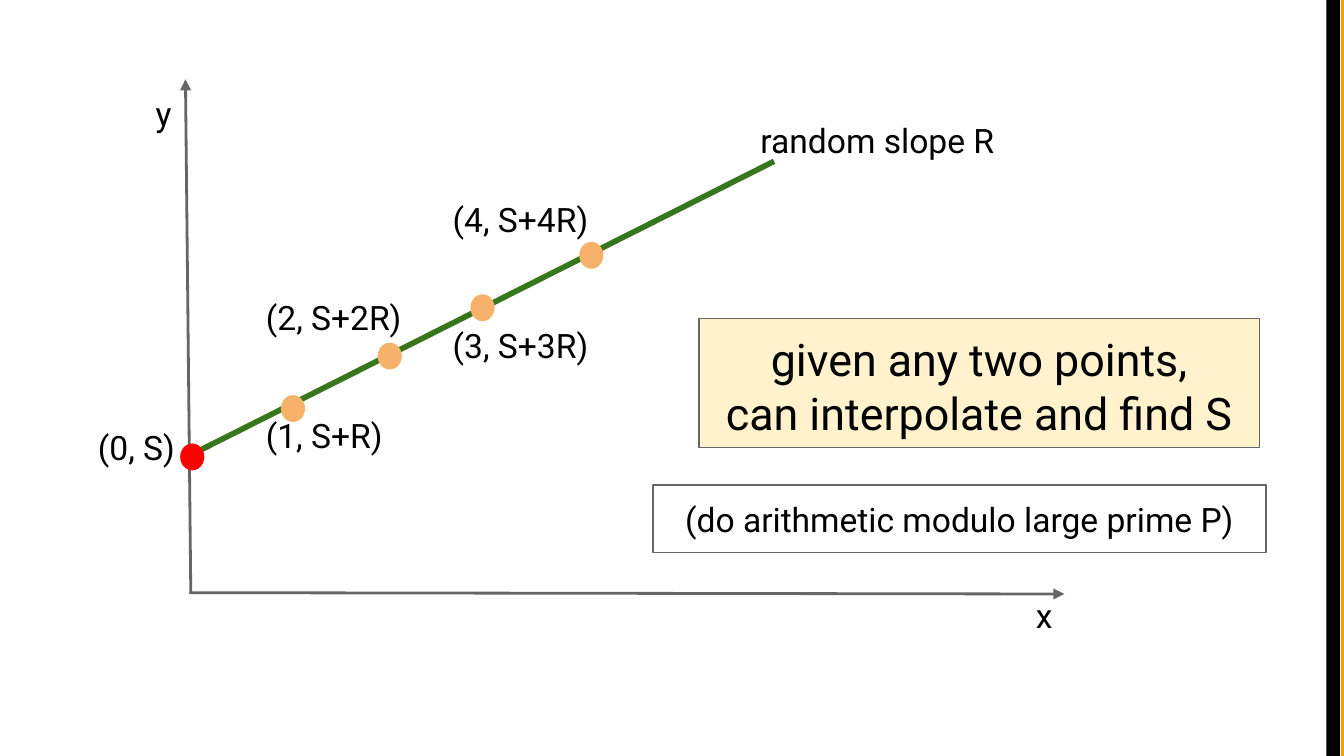
from dataclasses import dataclass

from lxml import etree
from pptx import Presentation
from pptx.dml.color import RGBColor
from pptx.enum.shapes import MSO_CONNECTOR, MSO_SHAPE
from pptx.enum.text import MSO_ANCHOR, PP_ALIGN
from pptx.oxml.ns import qn
from pptx.util import Inches, Pt

RECTANGLE, OVAL = MSO_SHAPE.RECTANGLE, MSO_SHAPE.OVAL
STRAIGHT = MSO_CONNECTOR.STRAIGHT
LEFT, CENTER = PP_ALIGN.LEFT, PP_ALIGN.CENTER
TOP = MSO_ANCHOR.TOP


@dataclass(frozen=True)
class Theme:
    font: str = "Roboto"
    label_size: float = 18
    callout_size: float = 24
    text: str = "000000"
    axis: str = "666666"
    slope: str = "38761D"
    secret: str = "FF0000"
    share: str = "F6B26B"
    callout: str = "FFF2CC"
    edge_dark: str = "000000"
    edge_bright: str = "FF9900"


THEME = Theme()

# The slide is a 16:9 grid of 100 columns by 56.25 rows of square cells
CELL = 0.1
COLUMNS, ROWS = 100, 56.25
LABEL_ROWS = 5
DOT_SIZE = (1.8, 2)


def cells(*counts):
    return [Inches(count * CELL) for count in counts]


def color(value):
    return RGBColor.from_string(value)


def write(shape, text, *, size=THEME.label_size, align=LEFT):
    """Fill a shape with text, one paragraph a line."""
    frame = shape.text_frame
    frame.word_wrap = True
    frame.vertical_anchor = TOP
    frame.margin_left = frame.margin_right = Inches(0.1)
    frame.margin_top = frame.margin_bottom = Inches(0.1)
    frame.text = text
    for para in frame.paragraphs:
        para.alignment = align
        for span in para.runs:
            span.font.name = THEME.font
            span.font.size = Pt(size)
            span.font.color.rgb = color(THEME.text)


def add_figure(page, kind, place, *, fill=None, line=None):
    figure = page.shapes.add_shape(kind, *cells(*place))
    figure.shadow.inherit = False
    if fill:
        figure.fill.solid()
        figure.fill.fore_color.rgb = color(fill)
    else:
        figure.fill.background()
    if line:
        figure.line.color.rgb = color(line)
        figure.line.width = Pt(0.75)
    else:
        figure.line.fill.background()
    return figure


def add_line(page, start, end, *, stroke, width, arrow=False):
    line = page.shapes.add_connector(STRAIGHT, *cells(*start, *end))
    line.line.color.rgb = color(stroke)
    line.line.width = Pt(width)
    if arrow:
        outline = line._element.spPr.find(qn("a:ln"))
        etree.SubElement(outline, qn("a:tailEnd"), type="triangle")
    etree.SubElement(line._element.spPr, qn("a:effectLst"))


def add_label(page, text, column, row, width):
    box = page.shapes.add_textbox(*cells(column, row, width, LABEL_ROWS))
    write(box, text)


def add_dot(page, column, row, fill):
    add_figure(page, OVAL, (column, row, *DOT_SIZE), fill=fill)


def add_box(page, text, place, *, fill=None, size=THEME.label_size):
    box = add_figure(page, RECTANGLE, place, fill=fill, line=THEME.axis)
    write(box, text, size=size, align=CENTER)


def main():
    deck = Presentation()
    deck.slide_width, deck.slide_height = cells(COLUMNS, ROWS)
    page = deck.slides.add_slide(deck.slide_layouts[6])

    # Right edge stripes
    for column, fill in ((99.8, THEME.edge_bright), (98.7, THEME.edge_dark)):
        add_figure(page, RECTANGLE, (column, 0, 1, ROWS), fill=fill)

    # Sloped line and axes
    add_line(page, (14.1, 33.9), (57.6, 12), stroke=THEME.slope, width=3)
    for start, end in (((14.1, 44.1), (79.2, 44.2)), ((14.2, 44.2), (13.8, 5.9))):
        add_line(page, start, end, stroke=THEME.axis, width=1.5, arrow=True)

    # Secret at the intercept, then the shares along the line
    add_dot(page, 13.4, 33, THEME.secret)
    for column, row in ((20.9, 29.4), (28.1, 25.5), (35, 21.9), (43.1, 18)):
        add_dot(page, column, row, THEME.share)

    # Labels: text, column, row, width
    for label in (
        ("x", 76.1, 43.3, 3.1),
        ("y", 10.6, 5.9, 3.1),
        ("(0, S)", 6.3, 30.8, 8.9),
        ("random slope R", 55.6, 7.9, 21.1),
        ("(1, S+R)", 18.8, 29.9, 11.3),
        ("(2, S+2R)", 18.8, 21.1, 13.1),
        ("(3, S+3R)", 32.7, 23.2, 13.1),
        ("(4, S+4R)", 32.7, 13.8, 13.1),
    ):
        add_label(page, *label)

    # Remarks
    add_box(page, "(do arithmetic modulo large prime P)", (48.6, 36.1, 45.6, LABEL_ROWS))
    add_box(page, "given any two points,\ncan interpolate and find S",
            (52, 23.7, 41.7, 9.6), fill=THEME.callout, size=THEME.callout_size)

    deck.save("out.pptx")


if __name__ == "__main__":
    main()
